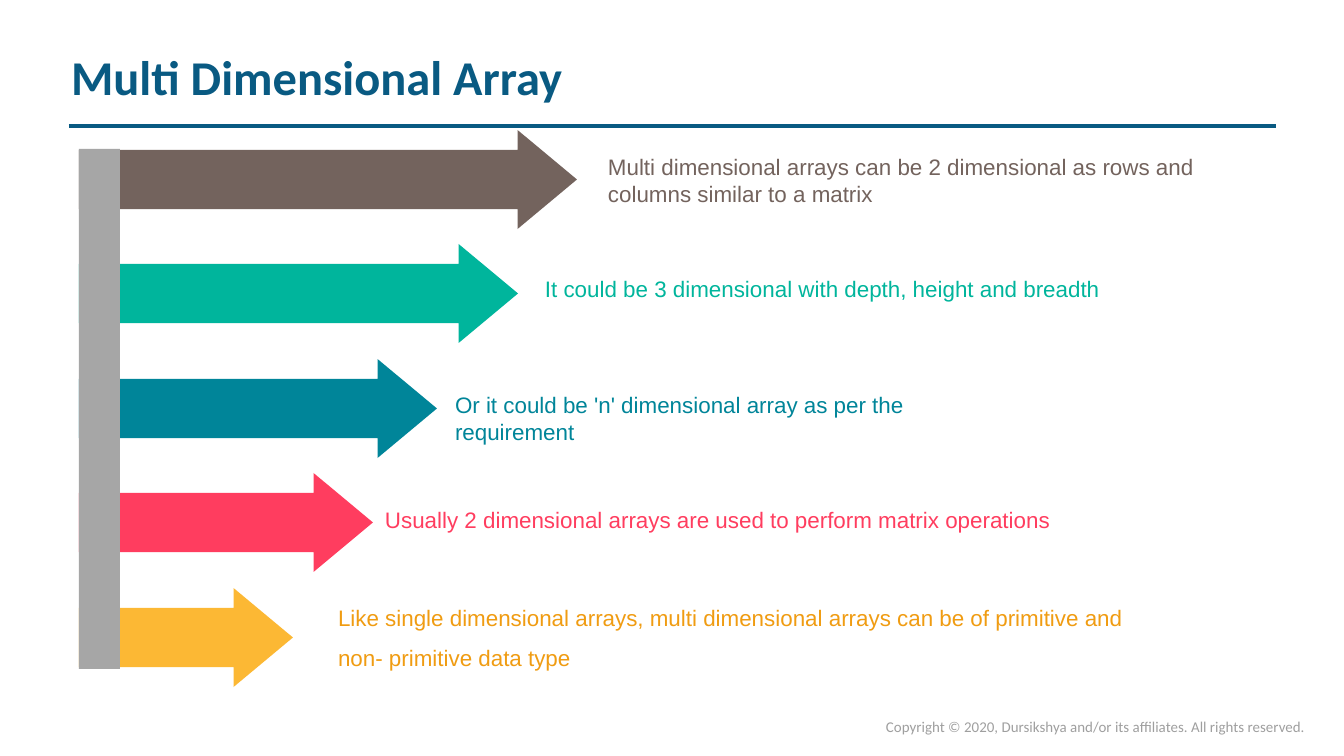
from pptx import Presentation
from pptx.dml.color import RGBColor
from pptx.enum.shapes import MSO_CONNECTOR as CONN, MSO_SHAPE as SHAPE
from pptx.enum.text import MSO_ANCHOR as ANCHOR, PP_ALIGN as ALIGN
from pptx.oxml.ns import qn
from pptx.util import Emu, Pt
from lxml.etree import SubElement

W, H = 1344, 756
SCALE = 9144000 / W  # EMU per px on a 10 inch wide slide

COLORS = {
    "navy": "095A82",
    "brown": "73635D",
    "green": "00B59C",
    "teal": "008599",
    "red": "FF3D5F",
    "yellow": "FCB834",
    "orange": "F09C12",
    "bar": "A6A6A6",
    "grey": "9F9F9F",
}


def px(n):
    return Emu(round(n * SCALE))


def rgb(name):
    return RGBColor.from_string(COLORS[name])


class Deck:
    def __init__(self):
        self.prs = Presentation()
        self.prs.slide_width, self.prs.slide_height = px(W), px(H)
        self.s = self.prs.slides.add_slide(self.prs.slide_layouts[5])

    def set_text(self, sp, text, size, color, font, bold=False, line_spacing=None):
        """Fill a text shape with one left-aligned paragraph, without insets."""
        tf = sp.text_frame
        tf.word_wrap = True
        tf.vertical_anchor = ANCHOR.TOP
        tf.margin_left = tf.margin_right = tf.margin_top = tf.margin_bottom = 0
        p = tf.paragraphs[0]
        p.text = text
        p.alignment = ALIGN.LEFT
        p.line_spacing = line_spacing
        p.font.size, p.font.name, p.font.bold = Pt(size), font, bold
        p.font.color.rgb = rgb(color)

    def title(self, text, x, y, w, h):
        sp = self.s.shapes.title
        sp.left, sp.top, sp.width, sp.height = px(x), px(y), px(w), px(h)
        self.set_text(sp, text, 26, "navy", "Calibri", bold=True)

    def text(self, text, x, y, w, h, color, size=12, font="Arial", line_spacing=None):
        sp = self.s.shapes.add_textbox(px(x), px(y), px(w), px(h))
        self.set_text(sp, text, size, color, font, line_spacing=line_spacing)

    def shape(self, kind, x, y, w, h, color):
        sp = self.s.shapes.add_shape(kind, px(x), px(y), px(w), px(h))
        sp.shadow.inherit = False
        sp.fill.solid()
        sp.fill.fore_color.rgb = rgb(color)
        sp.line.fill.background()
        return sp

    def arrow(self, x, y, w, h, color):
        sp = self.shape(SHAPE.RIGHT_ARROW, x, y, w, h, color)
        sp.adjustments[0] = sp.adjustments[1] = 0.6

    def rule(self, x1, x2, y):
        c = self.s.shapes.add_connector(CONN.STRAIGHT, px(x1), px(y), px(x2), px(y))
        c.line.color.rgb = rgb("navy")
        c.line.width = Pt(2.28)
        SubElement(c._element.spPr, qn("a:effectLst"))


LEFT, ARROW_TOP, ARROW_H = 79, 130, 99
LAST_ARROW_OFFSET = 458

# arrow tip, arrow colour, text, text x, text y, text width, text colour, line spacing
ROWS = [
    (577, "brown", "Multi dimensional arrays can be 2 dimensional as rows and columns "
     "similar to a matrix", 608, 153, 602, "brown", None),
    (518, "green", "It could be 3 dimensional with depth, height and breadth",
     545, 275, 650, "green", None),
    (437, "teal", "Or it could be 'n' dimensional array as per the requirement",
     455, 391, 555, "teal", None),
    (373, "red", "Usually 2 dimensional arrays are used to perform matrix operations",
     385, 506, 780, "red", None),
    (293, "yellow", "Like single dimensional arrays, multi dimensional arrays can be of "
     "primitive and non- primitive data type", 338, 591, 807, "orange", Pt(21.4)),
]


def main():
    deck = Deck()
    deck.title("Multi Dimensional Array", 71, 47, 560, 62)
    deck.rule(69, 1276, 126)
    for i, (tip, fill, text, x, y, w, color, spacing) in enumerate(ROWS):
        top = ARROW_TOP + LAST_ARROW_OFFSET * i // (len(ROWS) - 1)
        deck.arrow(LEFT, top, tip - LEFT, ARROW_H, fill)
        deck.text(text, x, y, w, 54, color, line_spacing=spacing)
    deck.shape(SHAPE.RECTANGLE, LEFT, 149, 41, 520, "bar")
    deck.text("Copyright © 2020, Dursikshya and/or its affiliates. All rights reserved.",
              886, 718, 440, 19, "grey", size=8, font="Calibri")
    deck.prs.save("out.pptx")


if __name__ == "__main__":
    main()
